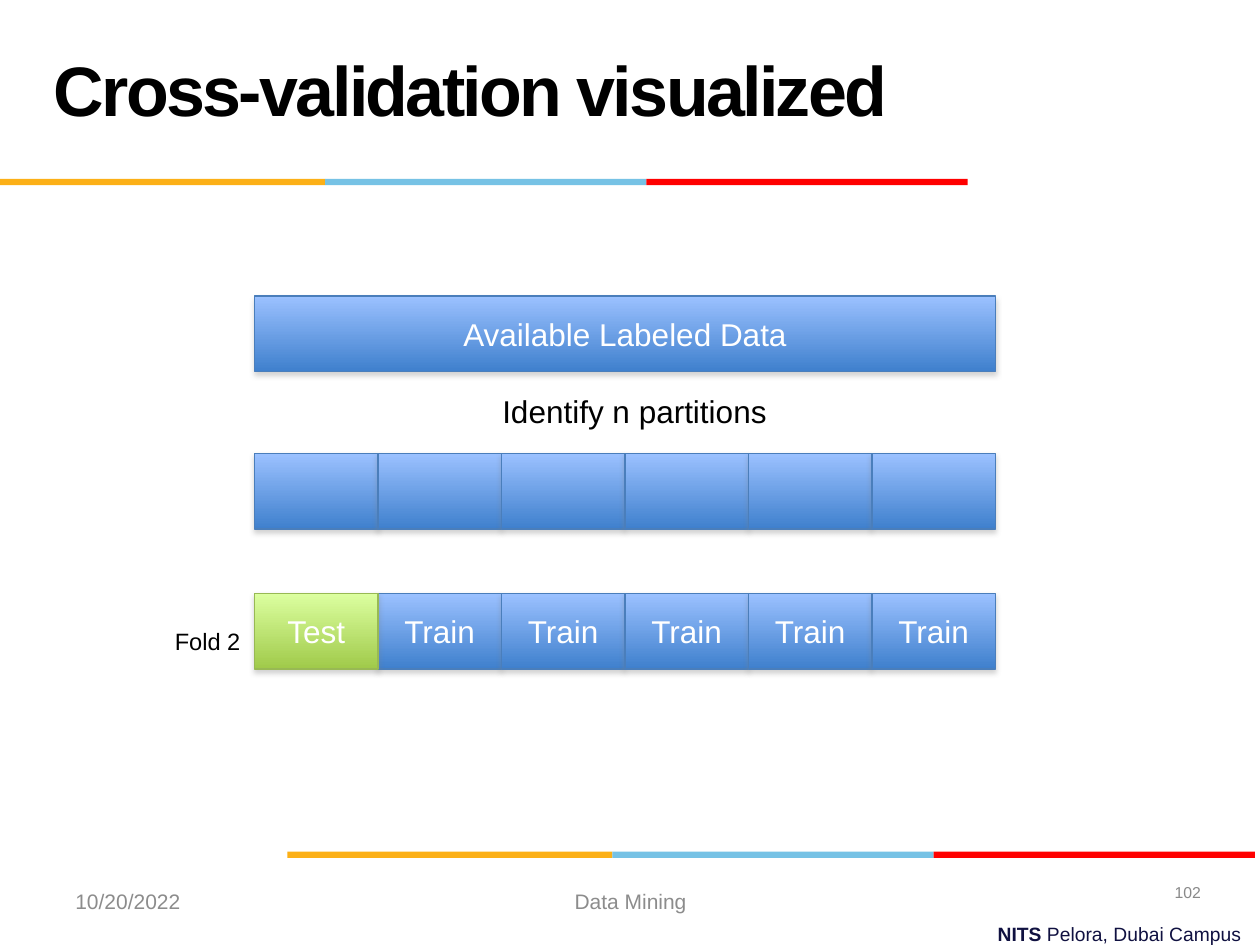
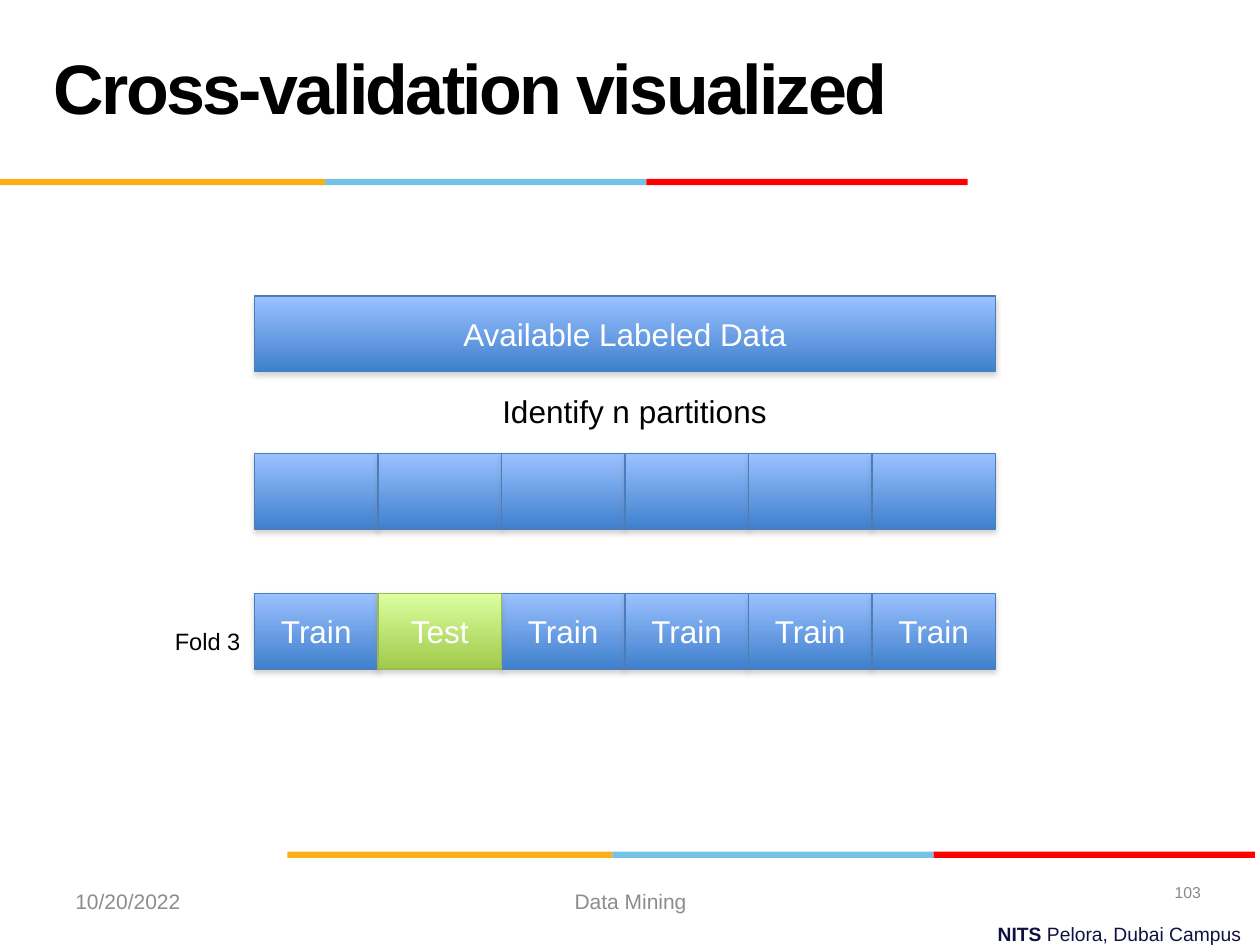
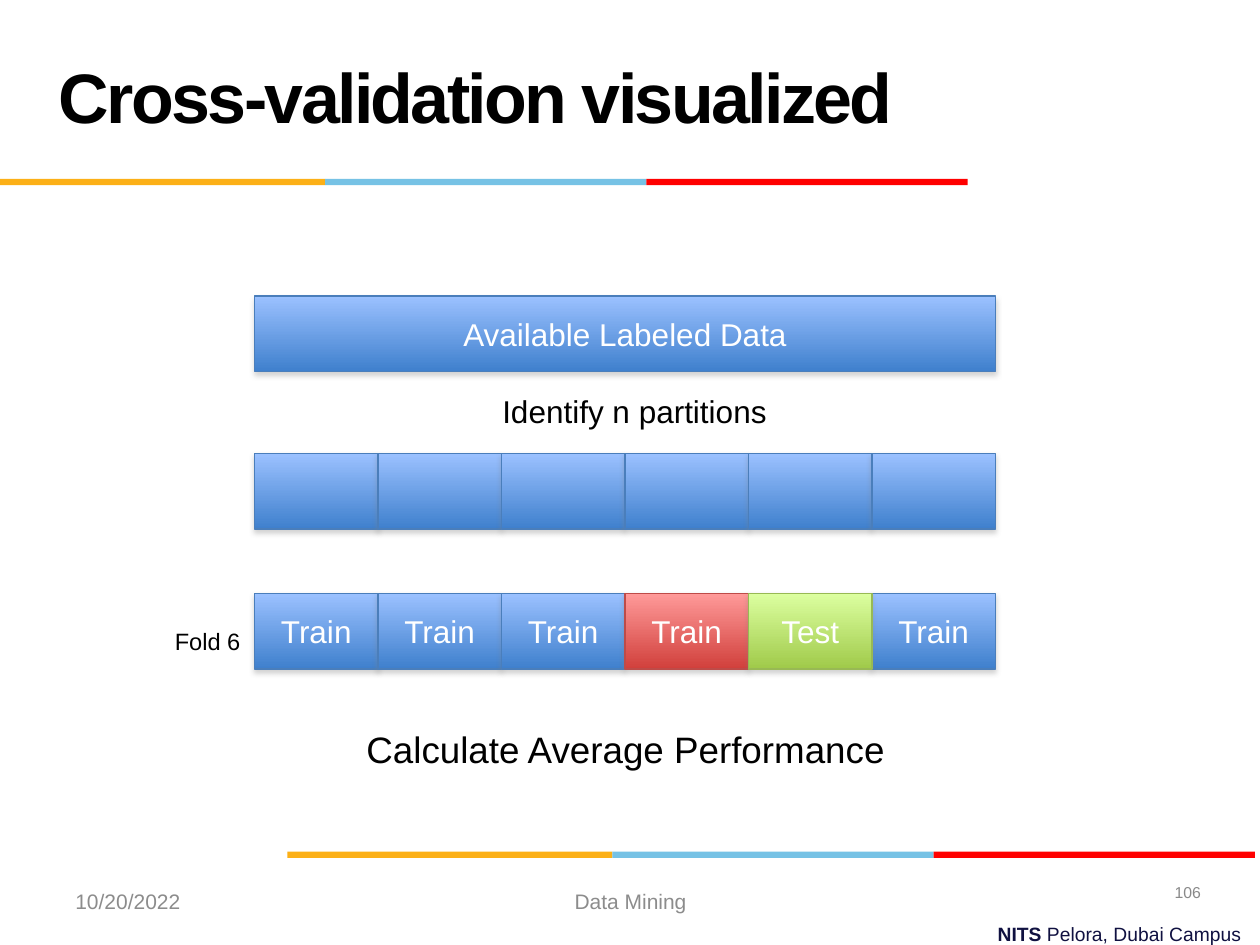
from lxml.etree import SubElement
from pptx import Presentation
from pptx.dml.color import RGBColor
from pptx.enum.shapes import MSO_SHAPE as Shape
from pptx.enum.text import MSO_ANCHOR as Anchor, PP_ALIGN as Align
from pptx.oxml.ns import qn
from pptx.util import Inches, Pt

FONT = "Arial"
BLACK = RGBColor(0x00, 0x00, 0x00)
WHITE = RGBColor(0xFF, 0xFF, 0xFF)
NAVY = RGBColor(0x10, 0x11, 0x41)
DATE_GREY = RGBColor(0x8C, 0x8C, 0x8C)
NUMBER_GREY = RGBColor(0x89, 0x89, 0x89)
AMBER = RGBColor(0xFC, 0xB0, 0x17)
SKY = RGBColor(0x76, 0xC2, 0xE5)
RED = RGBColor(0xFF, 0x00, 0x00)

# Block styles: gradient top, gradient bottom, outline
BLUE_BLOCK = (RGBColor(0x9B, 0xC1, 0xFF), RGBColor(0x3F, 0x80, 0xCD), RGBColor(0x4A, 0x7E, 0xBB))
GREEN_BLOCK = (RGBColor(0xDC, 0xFF, 0xA0), RGBColor(0xA0, 0xCA, 0x4A), RGBColor(0x98, 0xB9, 0x54))
RED_BLOCK = (RGBColor(0xFF, 0x9A, 0x99), RGBColor(0xD1, 0x40, 0x3C), RGBColor(0xBE, 0x4B, 0x48))

BAND_PARTS = [(AMBER, 2.58), (SKY, 2.55), (RED, 2.55)]
PARTITIONS = 6
ROW_LEFT = 2.02
BLOCK_WIDTH = 0.98
BLOCK_HEIGHT = 0.6


class FoldDeck:
    """Holds the deck, its style and the slide being filled."""

    def __init__(self):
        self.deck = Presentation()
        self.deck.slide_width = Inches(10)
        self.deck.slide_height = Inches(7.5)
        self.page = None

    def add_page(self, title, title_left, title_top, number):
        self.page = self.deck.slides.add_slide(self.deck.slide_layouts[6])
        self.band(0, 1.42)
        self.band(2.28, 6.76)
        self.text(3.53, 7.27, 6.42, 0.29, ["NITS ", "Pelora, Dubai Campus"], 11, NAVY,
                  align=Align.RIGHT, anchor=Anchor.TOP, bold_runs=1)
        self.text(0.5, 6.95, 2.33, 0.4, ["10/20/2022"], 12, DATE_GREY)
        self.text(3.42, 6.95, 3.17, 0.4, ["Data Mining"], 12, DATE_GREY, align=Align.CENTER)
        self.text(7.3, 6.88, 2.33, 0.4, [str(number)], 9, NUMBER_GREY, align=Align.RIGHT)
        heading = self.text(title_left, title_top, 9, 1.25, [title], 40, BLACK, bold_runs=1)
        for span in heading.text_frame.paragraphs[0].runs:
            span.font._element.set("spc", "-150")

    def fill_frame(self, frame, runs, size, color, align, anchor, bold_runs=0):
        """Put runs into a text frame; the first bold_runs runs are bold."""
        frame.vertical_anchor = anchor
        para = frame.paragraphs[0]
        para.alignment = align
        for index, words in enumerate(runs):
            span = para.add_run()
            span.text = words
            span.font.name = FONT
            span.font.size = Pt(size)
            span.font.bold = index < bold_runs
            span.font.color.rgb = color

    def text(self, left, top, width, height, runs, size, color,
             align=Align.LEFT, anchor=Anchor.MIDDLE, bold_runs=0, wrap=True):
        box = self.page.shapes.add_textbox(Inches(left), Inches(top), Inches(width), Inches(height))
        box.text_frame.word_wrap = wrap
        self.fill_frame(box.text_frame, runs, size, color, align, anchor, bold_runs)
        return box

    def rectangle(self, left, top, width, height):
        box = self.page.shapes.add_shape(
            Shape.RECTANGLE, Inches(left), Inches(top), Inches(width), Inches(height))
        box.shadow.inherit = False
        return box

    def band(self, left, top):
        for color, width in BAND_PARTS:
            bar = self.rectangle(left, top, width, 0.05)
            bar.fill.solid()
            bar.fill.fore_color.rgb = color
            bar.line.fill.background()
            left += width

    def block(self, left, top, width, style, label=""):
        """Draw a gradient data block with a soft shadow below it."""
        box = self.rectangle(left, top, width, BLOCK_HEIGHT)
        *shades, outline = style
        box.fill.gradient()
        box.fill.gradient_angle = 270
        for stop, shade in zip(box.fill.gradient_stops, shades):
            stop.color.rgb = shade
        box.line.color.rgb = outline
        box.line.width = Pt(0.75)
        effects = box._element.spPr.find(qn("a:effectLst"))
        shadow = SubElement(effects, qn("a:outerShdw"), blurRad=str(Pt(3.1)), dist=str(Pt(1.8)),
                            dir="5400000", rotWithShape="0")
        tone = SubElement(shadow, qn("a:srgbClr"), val="808080")
        SubElement(tone, qn("a:alpha"), val="35000")
        if label:
            self.fill_frame(box.text_frame, [label], 18, WHITE, Align.CENTER, Anchor.MIDDLE)

    def partition(self, index, top, style=BLUE_BLOCK, label=""):
        self.block(ROW_LEFT + index * BLOCK_WIDTH, top, BLOCK_WIDTH, style, label)

    def data_rows(self):
        self.block(ROW_LEFT, 2.35, PARTITIONS * BLOCK_WIDTH, BLUE_BLOCK, "Available Labeled Data")
        for index in range(PARTITIONS):
            self.partition(index, 3.6)
        self.text(3.44, 3.06, 3.19, 0.4, ["Identify n partitions"], 18, BLACK,
                  align=Align.CENTER, anchor=Anchor.TOP)

    def fold_row(self, fold, test, red=None):
        """Draw the training blocks, then the test block on top of them."""
        top = 4.71
        for index in range(PARTITIONS):
            if index != test:
                self.partition(index, top, RED_BLOCK if index == red else BLUE_BLOCK, "Train")
        self.partition(test, top, GREEN_BLOCK, "Test")
        self.text(1.29, 4.93, 0.73, 0.33, [f"Fold {fold}"], 13.5, BLACK,
                  anchor=Anchor.TOP, wrap=False)

    def fold_page(self, fold, title_left, title_top, red=None):
        self.add_page("Cross-validation visualized", title_left, title_top, 100 + fold)
        self.data_rows()
        self.fold_row(fold, fold - 2, red)


def main():
    folds = FoldDeck()
    folds.fold_page(2, 0.33, 0.08)
    folds.fold_page(3, 0.33, 0.06)
    folds.fold_page(6, 0.37, 0.13, red=3)
    folds.text(2.81, 5.72, 4.35, 0.45, ["Calculate Average Performance"], 21, BLACK,
               anchor=Anchor.TOP, wrap=False)
    folds.deck.save("out.pptx")


if __name__ == "__main__":
    main()
